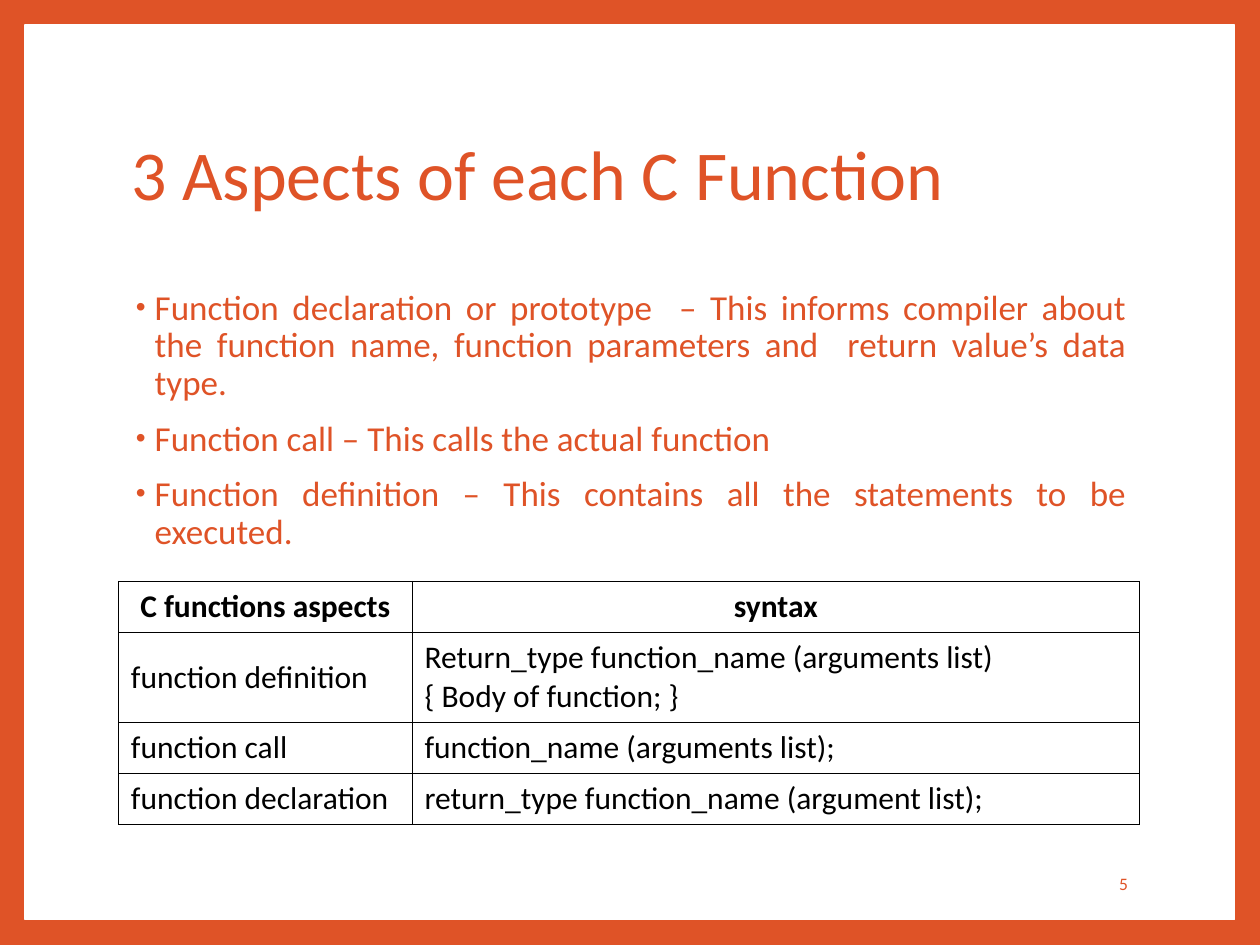
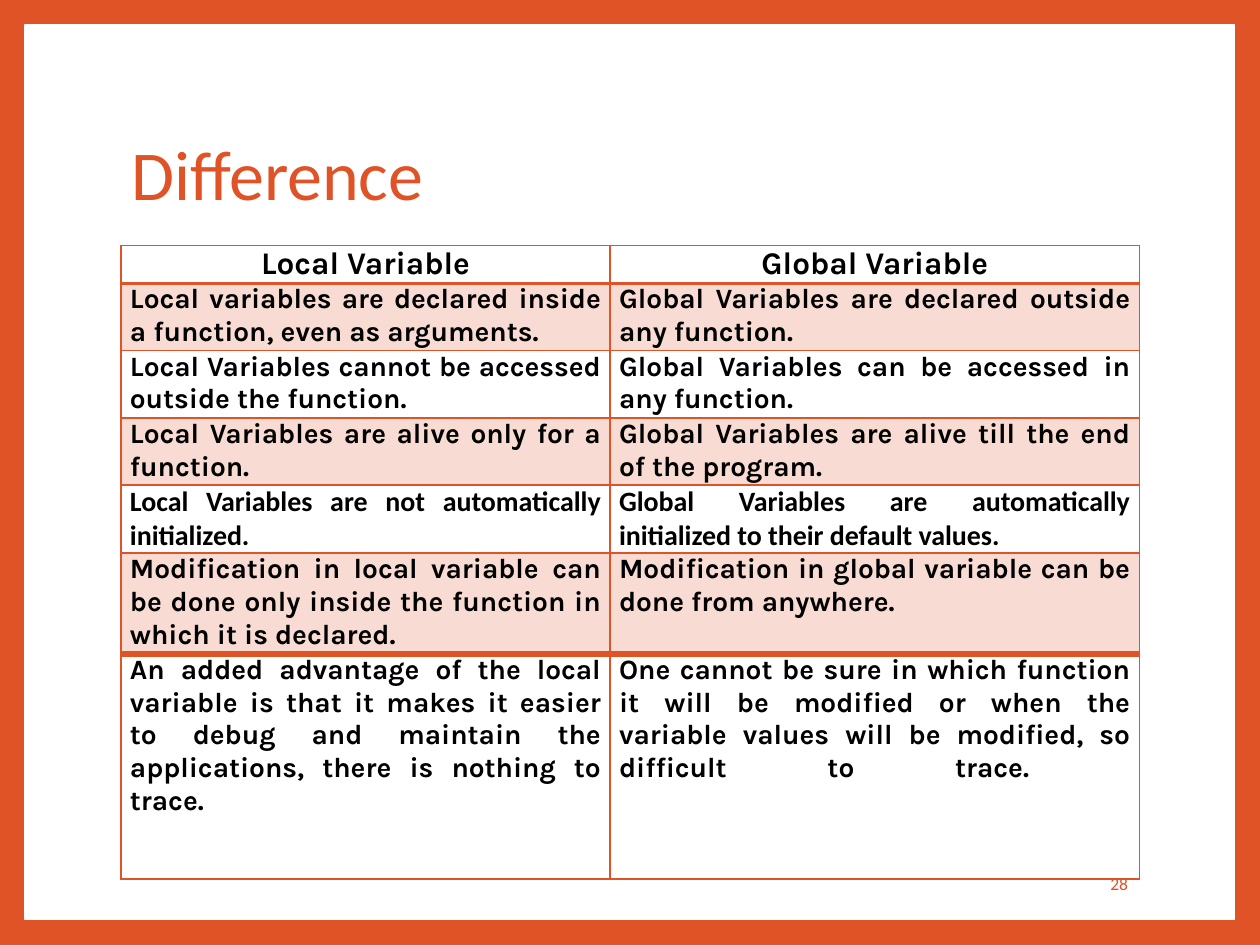
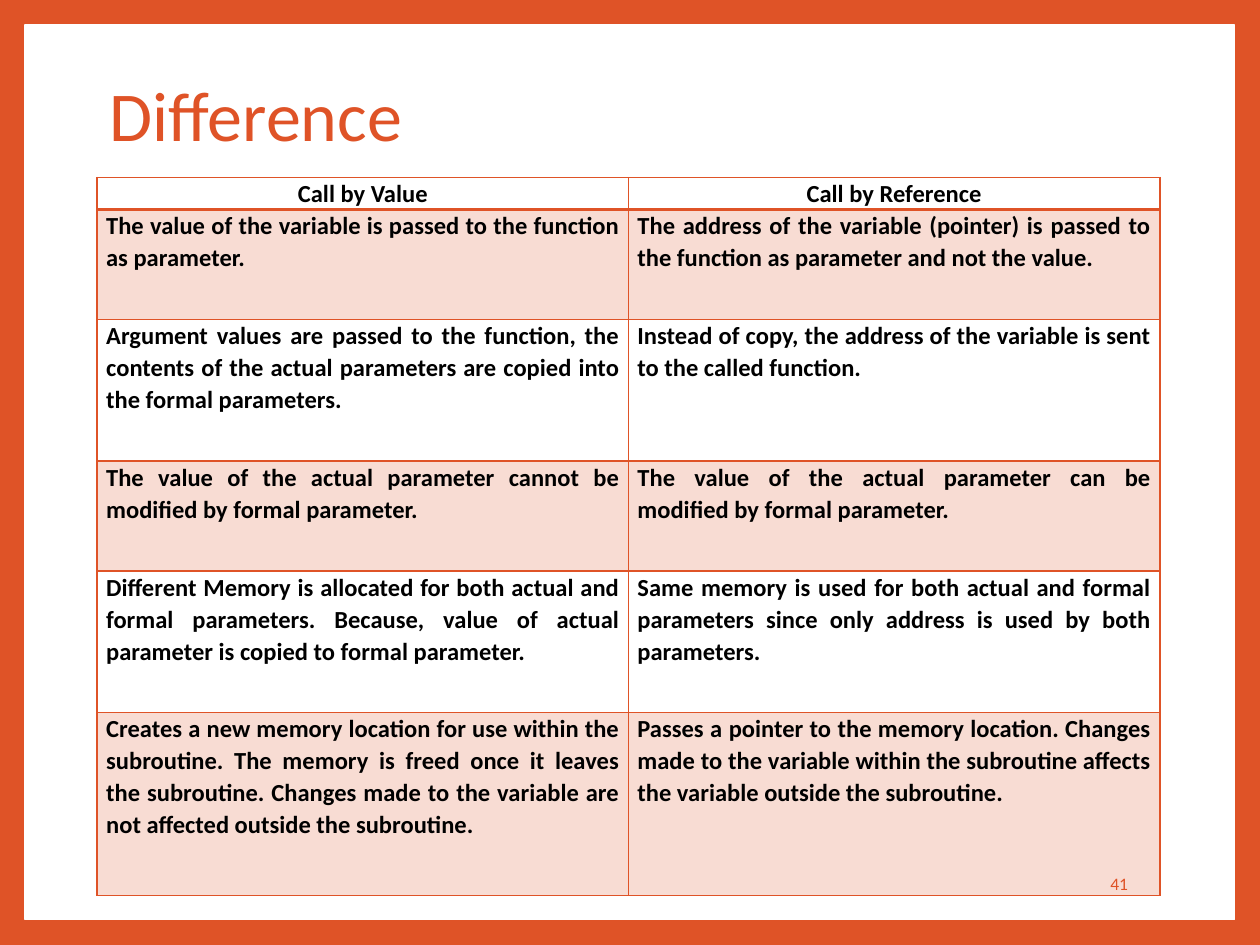
from dataclasses import dataclass

from lxml import etree
from pptx import Presentation
from pptx import util as u
from pptx.dml.color import RGBColor
from pptx.enum import shapes, text
from pptx.oxml import ns


@dataclass(frozen=True)
class Theme:
    accent: str = "DF5327"
    paper: str = "FFFFFF"
    ink: str = "000000"
    tint_percent: int = 20
    font: str = "Calibri"
    alternate_font: str = "Karla"
    title_size: float = 40
    body_size: float = 20
    large_size: float = 18
    medium_size: float = 16
    small_size: float = 14
    number_size: float = 10


@dataclass(frozen=True)
class Box:
    left: float
    top: float
    width: float
    height: float

    def lengths(self) -> tuple:
        return u.Cm(self.left), u.Cm(self.top), u.Cm(self.width), u.Cm(self.height)


@dataclass(frozen=True)
class Style:
    size: float
    color: str
    font: str
    bold: bool = False
    alignment: text.PP_ALIGN = text.PP_ALIGN.LEFT
    line_spacing: float = 1.0
    space_after: float = 0


@dataclass(frozen=True)
class Row:
    height: float
    cells: tuple
    style: Style
    tinted: bool = False
    top_rule: float = 1


@dataclass(frozen=True)
class Grid:
    left: float
    top: float
    columns: tuple
    rows: tuple
    rule_color: str
    rule_width: float = 1
    margins: tuple = (0.18, 0)
    anchor: text.MSO_ANCHOR = text.MSO_ANCHOR.TOP


@dataclass(frozen=True)
class Page:
    title: str
    number: int
    title_box: Box
    grid: Grid
    bullets: tuple = ()


THEME = Theme()
FRAME = Box(0.51, 0.51, 24.38, 18.03)
BODY = Box(2.39, 5.72, 20.57, 11.23)
NUMBER = Box(19.43, 17.3, 3.56, 1.02)
TITLE = Box(2.39, 1.7, 20.57, 3.76)
HIGH_TITLE = Box(1.96, 0.51, 20.57, 3.76)

JUSTIFY = text.PP_ALIGN.JUSTIFY
CENTER = text.PP_ALIGN.CENTER
TITLE_STYLE = Style(THEME.title_size, THEME.accent, THEME.font, line_spacing=0.9)
BODY_STYLE = Style(THEME.body_size, THEME.accent, THEME.font, alignment=JUSTIFY, line_spacing=0.9)
NUMBER_STYLE = Style(THEME.number_size, THEME.accent, THEME.font, alignment=text.PP_ALIGN.RIGHT)
SYNTAX_HEAD = Style(THEME.large_size, THEME.ink, THEME.font, True, CENTER)
SYNTAX_CELL = Style(THEME.large_size, THEME.ink, THEME.font)
SCOPE_HEAD = Style(THEME.large_size, THEME.ink, THEME.alternate_font, True, CENTER)
SCOPE_CELL = Style(THEME.medium_size, THEME.ink, THEME.alternate_font, True, JUSTIFY)
SCOPE_PLAIN = Style(THEME.medium_size, THEME.ink, THEME.font, True, JUSTIFY)
CALL_HEAD = Style(THEME.small_size, THEME.ink, THEME.font, True, CENTER, 1.07, 8)
CALL_CELL = Style(THEME.small_size, THEME.ink, THEME.font, True, JUSTIFY, 1.07, 8)

SYNTAX_GRID = Grid(2.39, 11.72, (5.92, 14.66), (
    Row(1.03, ("C functions aspects", "syntax"), SYNTAX_HEAD),
    Row(1.81, ("function definition",
               "Return_type function_name (arguments list)\v{ Body of function; }"), SYNTAX_CELL),
    Row(1.03, ("function call", "function_name (arguments list);"), SYNTAX_CELL),
    Row(1.03, ("function declaration", "return_type function_name (argument list);"), SYNTAX_CELL),
), THEME.ink, 0.75, (0.25, 0.13), text.MSO_ANCHOR.MIDDLE)

SCOPE_GRID = Grid(2.44, 4.95, (9.86, 10.67), (
    Row(0.73, ("Local Variable", "Global Variable"), SCOPE_HEAD),
    Row(1.3, ("Local variables are declared inside a function, even as arguments.",
              "Global Variables are declared outside any function."), SCOPE_CELL, True, 2),
    Row(1.3, ("Local Variables cannot be accessed outside the function.",
              "Global Variables can be accessed in any function."), SCOPE_CELL),
    Row(1.3, ("Local Variables are alive only for a function.",
              "Global Variables are alive till the end of the program."), SCOPE_CELL, True),
    Row(1.37, ("Local Variables are not automatically initialized.",
               "Global Variables are automatically initialized to their default values."),
        SCOPE_PLAIN),
    Row(1.96, ("Modification in local variable can be done only inside the function in which it is "
               "declared.",
               "Modification in global variable can be done from anywhere."), SCOPE_CELL, True),
    Row(4.54, ("An added advantage of the local variable is that it makes it easier to debug and "
               "maintain the applications, there is nothing to trace.",
               "One cannot be sure in which function it will be modified or when the variable "
               "values will be modified, so difficult to trace. \v"), SCOPE_CELL, top_rule=4),
), THEME.accent)

CALL_GRID = Grid(1.96, 3.58, (10.71, 10.71), (
    Row(0.64, ("Call by Value", "Call by Reference"), CALL_HEAD),
    Row(2.22, ("The value of the variable is passed to the function as parameter.",
               "The address of the variable (pointer) is passed to the function as parameter and "
               "not the value."), CALL_CELL, True, 2),
    Row(2.85, ("Argument values are passed to the function, the contents of the actual parameters "
               "are copied into the formal parameters.",
               "Instead of copy, the address of the variable is sent to the called function."),
        CALL_CELL),
    Row(2.22, ("The value of the actual parameter cannot be modified by formal parameter.",
               "The value of the actual parameter can be modified by formal parameter."),
        CALL_CELL, True),
    Row(2.85, ("Different Memory is allocated for both actual and formal parameters. Because, "
               "value of actual parameter is copied to formal parameter.",
               "Same memory is used for both actual and formal parameters since only address is "
               "used by both parameters."), CALL_CELL),
    Row(3.69, ("Creates a new memory location for use within the subroutine. The memory is freed "
               "once it leaves the subroutine. Changes made to the variable are not affected "
               "outside the subroutine.",
               "Passes a pointer to the memory location. Changes made to the variable within the "
               "subroutine affects the variable outside the subroutine."), CALL_CELL, True),
), THEME.accent)

PAGES = (
    Page("3 Aspects of each C Function", 5, TITLE, SYNTAX_GRID, (
        "Function declaration or prototype  – This informs compiler about the function name, "
        "function parameters and  return value’s data type.",
        "Function call – This calls the actual function",
        "Function definition – This contains all the statements to be executed.",
    )),
    Page("Difference", 28, TITLE, SCOPE_GRID),
    Page("Difference", 41, HIGH_TITLE, CALL_GRID),
)


def format_paragraph(paragraph, style: Style) -> None:
    paragraph.alignment = style.alignment
    paragraph.line_spacing = style.line_spacing
    paragraph.space_after = u.Pt(style.space_after)
    for run in paragraph.runs:
        run.font.name = style.font
        run.font.size = u.Pt(style.size)
        run.font.bold = style.bold
        run.font.color.rgb = RGBColor.from_string(style.color)


def add_bullet(paragraph) -> None:
    properties = paragraph._p.get_or_add_pPr()
    properties.set("marL", str(u.Cm(0.48)))
    properties.set("indent", str(-u.Cm(0.38)))
    color = etree.SubElement(properties, ns.qn("a:buClr"))
    etree.SubElement(color, ns.qn("a:srgbClr"), val=THEME.accent)
    etree.SubElement(properties, ns.qn("a:buSzPct"), val="80000")
    etree.SubElement(properties, ns.qn("a:buFont"), typeface="Arial")
    etree.SubElement(properties, ns.qn("a:buChar"), char="•")


def set_borders(cell, color: str, widths: dict) -> None:
    properties = cell._tc.get_or_add_tcPr()
    for index, (side, width) in enumerate(widths.items()):
        line = etree.Element(ns.qn(f"a:{side}"), w=str(u.Pt(width)))
        fill = etree.SubElement(line, ns.qn("a:solidFill"))
        etree.SubElement(fill, ns.qn("a:srgbClr"), val=color)
        properties.insert(index, line)


def fill_cell(cell, tinted: bool) -> None:
    if not tinted:
        cell.fill.background()
        return
    cell.fill.solid()
    cell.fill.fore_color.rgb = RGBColor.from_string(THEME.accent)
    color = cell._tc.tcPr.find(f".//{ns.qn('a:srgbClr')}")
    etree.SubElement(color, ns.qn("a:alpha"), val=str(THEME.tint_percent * 1000))


def add_grid(slide, grid: Grid) -> None:
    box = Box(grid.left, grid.top, sum(grid.columns), sum(row.height for row in grid.rows))
    table = slide.shapes.add_table(len(grid.rows), len(grid.columns), *box.lengths()).table
    table.first_row = False
    table.horz_banding = False
    for column, width in zip(table.columns, grid.columns):
        column.width = u.Cm(width)
    side_margin, end_margin = (u.Cm(margin) for margin in grid.margins)
    rules = [row.top_rule * grid.rule_width for row in grid.rows] + [grid.rule_width]
    for row_index, row in enumerate(grid.rows):
        table.rows[row_index].height = u.Cm(row.height)
        for column_index, words in enumerate(row.cells):
            cell = table.cell(row_index, column_index)
            cell.text_frame.text = words
            format_paragraph(cell.text_frame.paragraphs[0], row.style)
            cell.vertical_anchor = grid.anchor
            cell.margin_left = cell.margin_right = side_margin
            cell.margin_top = cell.margin_bottom = end_margin
            fill_cell(cell, row.tinted)
            set_borders(cell, grid.rule_color, {
                "lnL": grid.rule_width, "lnR": grid.rule_width,
                "lnT": rules[row_index], "lnB": rules[row_index + 1],
            })


def place_title(slide, page: Page) -> None:
    title = slide.shapes.title
    title.left, title.top, title.width, title.height = page.title_box.lengths()
    title.text_frame.text = page.title
    title.text_frame.vertical_anchor = text.MSO_ANCHOR.MIDDLE
    format_paragraph(title.text_frame.paragraphs[0], TITLE_STYLE)


def add_bullets(slide, bullets: tuple) -> None:
    frame = slide.shapes.add_textbox(*BODY.lengths()).text_frame
    frame.word_wrap = True
    frame.text = "\n".join(bullets)
    for index, paragraph in enumerate(frame.paragraphs):
        add_bullet(paragraph)
        paragraph.space_before = u.Pt(10 if index else 0)
        format_paragraph(paragraph, BODY_STYLE)


def add_number(slide, number: int) -> None:
    frame = slide.shapes.add_textbox(*NUMBER.lengths()).text_frame
    frame.word_wrap = True
    frame.vertical_anchor = text.MSO_ANCHOR.MIDDLE
    frame.text = str(number)
    format_paragraph(frame.paragraphs[0], NUMBER_STYLE)


def move_frame_to_layout(slide, layout) -> None:
    frame = slide.shapes.add_shape(shapes.MSO_SHAPE.RECTANGLE, *FRAME.lengths())
    frame.shadow.inherit = False
    frame.fill.solid()
    frame.fill.fore_color.rgb = RGBColor.from_string(THEME.paper)
    frame.line.color.rgb = RGBColor.from_string(THEME.paper)
    frame.line.width = u.Pt(1)
    frame.element.nvSpPr.cNvPr.set("id", "90")
    layout.placeholders[0].element.getparent().insert(2, frame.element)


def main() -> None:
    presentation = Presentation()
    presentation.slide_width = u.Cm(25.4)
    presentation.slide_height = u.Cm(19.05)
    background = presentation.slide_master.background.fill
    background.solid()
    background.fore_color.rgb = RGBColor.from_string(THEME.accent)
    layout = presentation.slide_layouts.get_by_name("Title Only")
    for index, page in enumerate(PAGES):
        slide = presentation.slides.add_slide(layout)
        if index == 0:
            move_frame_to_layout(slide, layout)
        place_title(slide, page)
        if page.bullets:
            add_bullets(slide, page.bullets)
        add_number(slide, page.number)
        add_grid(slide, page.grid)
    presentation.save("out.pptx")


if __name__ == "__main__":
    main()
